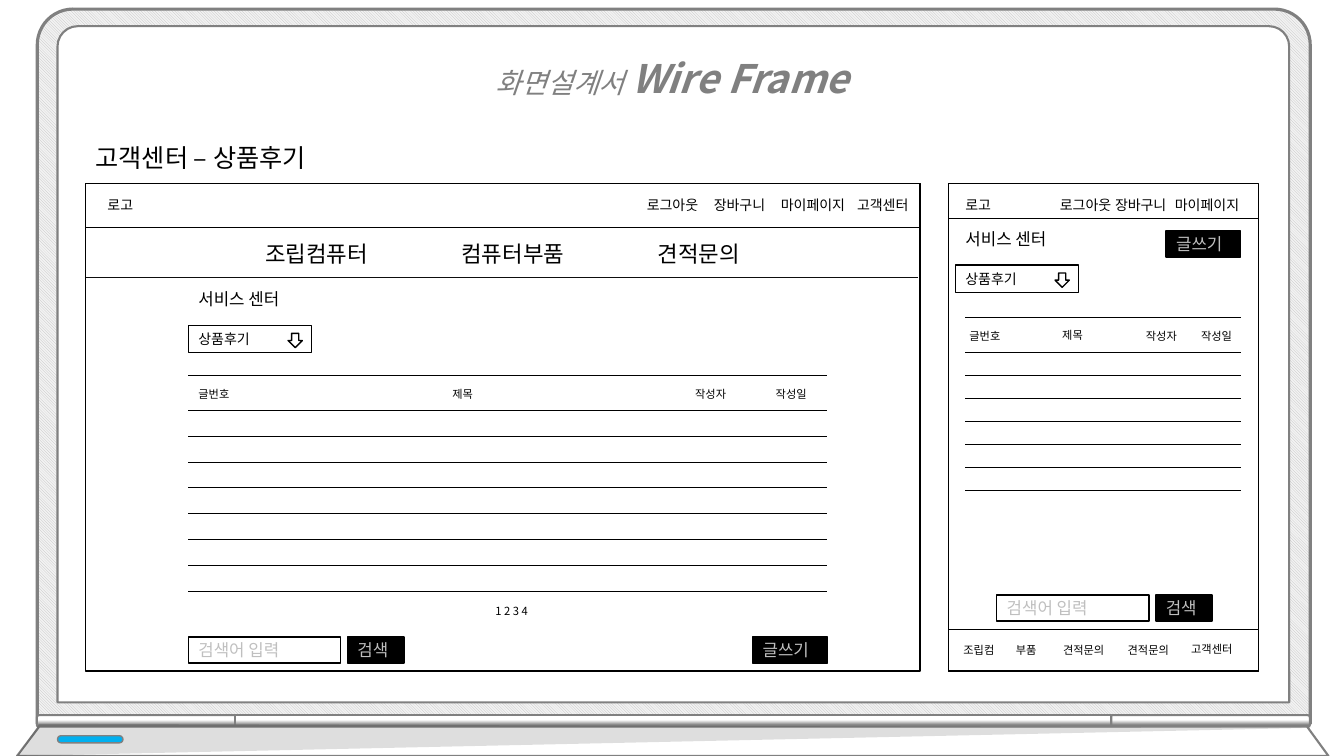
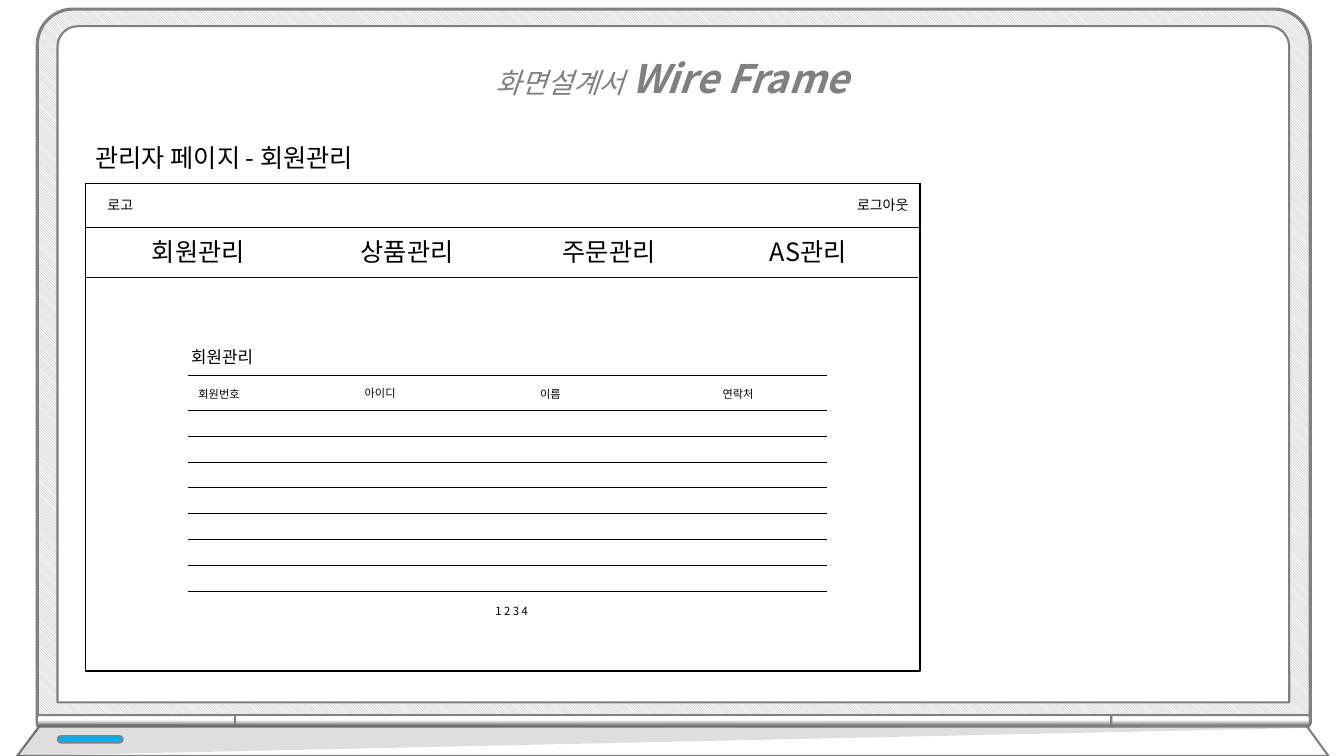
import pptx
import pptx.dml.color
import pptx.enum.dml
import pptx.enum.shapes
import pptx.enum.text
import pptx.oxml
import pptx.oxml.ns
import pptx.util
import lxml.etree

Cm = pptx.util.Cm
KIND = pptx.enum.shapes.MSO_SHAPE
ALIGN = pptx.enum.text.PP_ALIGN
FONT = "Noto Sans CJK KR"
COLORS = {
    name: pptx.dml.color.RGBColor.from_string(value)
    for name, value in {
        "black": "000000", "white": "FFFFFF", "grey": "808080", "hint": "BFBFBF",
        "bezel": "F2F2F2", "led": "00B0F0", "menu line": "0D0D0D",
    }.items()
}


def draw(shapes, kind, box, fill="white", line="black", width=1):
    """Add a preset shape; box is left, top, width, height in cm."""
    shape = shapes.add_shape(kind, *[Cm(v) for v in box])
    shape.shadow.inherit = False
    shape.fill.solid()
    shape.fill.fore_color.rgb = COLORS[fill]
    shape.line.color.rgb = COLORS[line]
    shape.line.width = pptx.util.Pt(width)
    return shape


def write(shape, runs, color="black", align=ALIGN.LEFT, tabs=()):
    """Fill a shape with one paragraph; runs are (text, size, bold, italic)."""
    frame = shape.text_frame
    frame.word_wrap = True
    paragraph = frame.paragraphs[0]
    paragraph.alignment = align
    if tabs:
        tab_list = lxml.etree.SubElement(
            paragraph._p.get_or_add_pPr(), pptx.oxml.ns.qn("a:tabLst"))
        for position in tabs:
            lxml.etree.SubElement(tab_list, pptx.oxml.ns.qn("a:tab"),
                                  pos=str(Cm(position)), algn="l")
    for text, size, bold, italic in runs:
        run = paragraph.add_run()
        run.text = text
        run.font.size = pptx.util.Pt(size)
        run.font.bold = bold
        run.font.italic = italic
        run.font.color.rgb = COLORS[color]
        run.font.name = FONT
        lxml.etree.SubElement(run.font._element, pptx.oxml.ns.qn("a:ea"), typeface=FONT)
    return paragraph


# Labels are (text, size, left, top, width, height, tab stops)
PAGES = [
    {
        "heading": "고객센터 – 상품후기",
        "labels": [
            ("로그아웃\t장바구니\t마이페이지\t고객센터", 10, 16.05, 4.83, 7.4, 0.69,
             (1.69, 3.38, 5.3)),
            ("조립컴퓨터\t컴퓨터부품\t견적문의", 16, 6.43, 5.92, 14, 0.94, (4.95, 9.9)),
            ("서비스 센터", 12, 4.75, 7.16, 3.1, 0.76, ()),
            ("글번호", 8, 4.75, 9.63, 1.52, 0.61, ()),
            ("제목", 8, 11.15, 9.63, 1.52, 0.61, ()),
            ("작성자", 8, 17.27, 9.63, 1.52, 0.61, ()),
            ("작성일", 8, 19.3, 9.63, 1.52, 0.61, ()),
        ],
        "mobile": [
            ("로고", 10, 24.08, 4.83, 1.32, 0.69, ()),
            ("로그아웃\t장바구니\t마이페이지", 10, 26.46, 4.83, 5.25, 0.69, (1.39, 2.9)),
            ("서비스 센터", 12, 24.08, 5.64, 3.1, 0.76, ()),
            ("글번호", 8, 24.18, 8.18, 1.52, 0.61, ()),
            ("제목", 8, 26.52, 8.15, 1.52, 0.61, ()),
            ("작성자", 8, 28.63, 8.18, 1.52, 0.61, ()),
            ("작성일", 8, 30.02, 8.18, 1.52, 0.61, ()),
            ("조립컴", 8, 24.03, 16.08, 1.45, 0.61, ()),
            ("부품", 8, 25.35, 16.08, 1.45, 0.61, ()),
            ("견적문의", 8, 26.54, 16.08, 1.68, 0.61, ()),
            ("견적문의", 8, 28.17, 16.08, 1.68, 0.61, ()),
            ("고객센터", 8, 29.77, 16.05, 2.18, 0.61, ()),
        ],
    },
    {
        "heading": "관리자 페이지 - 회원관리",
        "labels": [
            ("로그아웃", 10, 21.35, 4.83, 2.1, 0.69, ()),
            ("회원관리\t상품관리\t주문관리\tAS관리", 18, 3.58, 5.84, 19.5, 1.02,
             (5.26, 10.35, 15.57)),
            ("회원관리", 12, 4.57, 8.61, 3.1, 0.76, ()),
            ("회원번호", 8, 4.75, 9.63, 1.78, 0.61, ()),
            ("아이디", 8, 8.94, 9.6, 1.52, 0.61, ()),
            ("이름", 8, 13.36, 9.63, 1.52, 0.61, ()),
            ("연락처", 8, 17.96, 9.63, 1.52, 0.61, ()),
        ],
        "mobile": [],
    },
]

prs = pptx.Presentation()
prs.slide_width, prs.slide_height = Cm(33.87), Cm(19.05)

for page in PAGES:
    slide = prs.slides.add_slide(prs.slide_layouts[6])

    # Laptop lid and screen
    laptop = slide.shapes.add_group_shape().shapes
    lid = draw(laptop, KIND.ROUND_2_SAME_RECTANGLE, (0.94, 0.23, 32.08, 18.01),
               line="grey", width=2.25)
    lid.adjustments[0] = 0.05
    lid.fill.patterned()
    lid.fill.pattern = pptx.enum.dml.MSO_PATTERN.LIGHT_DOWNWARD_DIAGONAL
    lid.fill.fore_color.rgb = COLORS["hint"]
    lid.fill.back_color.rgb = COLORS["bezel"]
    screen = draw(laptop, KIND.ROUND_2_SAME_RECTANGLE, (1.45, 0.66, 31.04, 17.04),
                  line="grey", width=1.5)
    screen.adjustments[0] = 0.03

    # Hinge: three bars end to end, each turned on its side
    hinge_left = 0.93
    for length, left_round, right_round in ((5, 0.19, 0), (22.08, 0, 0), (5, 0, 0.19)):
        hinge = draw(laptop, KIND.ROUND_2_SAME_RECTANGLE,
                     (hinge_left + length / 2 - 0.15, 18.17 - length / 2, 0.3, length),
                     line="grey", width=1.5)
        hinge.rotation = 270
        hinge.adjustments[0] = left_round
        hinge.adjustments[1] = right_round
        hinge.fill.gradient()
        hinge.fill.gradient_angle = 0
        for stop, position, color in zip(hinge.fill.gradient_stops,
                                         (0.17, 0.59), ("grey", "white")):
            stop.position = position
            stop.color.rgb = COLORS[color]
        hinge_left += length

    # Laptop base with its shade and light
    for color, corners in (
        ("white", ((0.99, 18.31), (32.94, 18.31), (33.48, 19.05), (0.43, 19.05))),
        ("black", ((0.99, 18.24), (0.43, 19.05), (33.07, 18.34))),
    ):
        points = [(Cm(x), Cm(y)) for x, y in corners]
        outline = laptop.build_freeform(*points[0])
        outline.add_line_segments(points[1:], close=True)
        base = outline.convert_to_shape()
        base.shadow.inherit = False
        base.fill.solid()
        base.fill.fore_color.rgb = COLORS[color]
        if color == "black":
            base.line.fill.background()
            shade = base.fill._xPr.find(".//" + pptx.oxml.ns.qn("a:srgbClr"))
            lxml.etree.SubElement(shade, pptx.oxml.ns.qn("a:alpha"), val="13000")
        else:
            base.line.color.rgb = COLORS["grey"]
            base.line.width = pptx.util.Pt(1.5)
    led = draw(laptop, KIND.ROUNDED_RECTANGLE, (1.45, 18.54, 1.65, 0.18), "led", "grey")
    led.adjustments[0] = 0.5

    # Wireframe panels
    panels = [(2.16, 4.62, 21.03, 12.29), (2.16, 4.62, 21.03, 1.12)]
    if page["mobile"]:
        panels += [(23.9, 4.62, 7.82, 12.29), (23.9, 15.86, 7.82, 1.05)]
    for panel in panels:
        draw(slide.shapes, KIND.RECTANGLE, panel)

    # Menu line and list rows: (left, right, y, colour)
    rules = [(2.16, 23.14, 6.99, "menu line"), (4.75, 20.85, 9.47, "black")]
    rules += [(4.75, 20.85, 10.34 + 0.65 * row, "black") for row in range(8)]
    if page["mobile"]:
        rules += [(23.9, 31.7, 5.51, "black"), (24.32, 31.28, 8, "black")]
        rules += [(24.32, 31.28, 8.88 + 0.58 * row, "black") for row in range(7)]
    for left, right, y, color in rules:
        rule = slide.shapes.add_connector(pptx.enum.shapes.MSO_CONNECTOR.STRAIGHT,
                                          Cm(left), Cm(y), Cm(right), Cm(y))
        rule.line.color.rgb = COLORS[color]
        rule.line.width = pptx.util.Pt(0.5)
        lxml.etree.SubElement(rule._element.spPr, pptx.oxml.ns.qn("a:effectLst"))

    # Title and page number line
    title = slide.shapes.add_textbox(Cm(9.32), Cm(0.64), Cm(15.24), Cm(2.06))
    write(title, [("화면설계서 ", 20, False, True), ("Wire Frame", 28, True, True)],
          "grey", ALIGN.CENTER).line_spacing = 1.5
    pager = slide.shapes.add_textbox(Cm(9.63), Cm(15.11), Cm(6.53), Cm(0.61))
    write(pager, [("1 2 3 4", 8, False, False)], align=ALIGN.CENTER)

    # Heading, header links, menu and column names
    shared = [(page["heading"], 18, 2.16, 3.45, 7.9, 1.02, ()),
              ("로고", 10, 2.46, 4.83, 6.12, 0.69, ())]
    for text, size, left, top, width, height, tabs in shared + page["labels"] + page["mobile"]:
        label = slide.shapes.add_textbox(Cm(left), Cm(top), Cm(width), Cm(height))
        write(label, [(text, size, False, False)], tabs=tabs)

    # Controls of the review page, desktop then mobile
    if page["mobile"]:
        for left, top in ((4.75, 8.2), (24.08, 6.68)):
            dropdown = draw(slide.shapes, KIND.RECTANGLE, (left, top, 3.1, 0.69))
            write(dropdown, [("상품후기", 10, False, False)])
            draw(slide.shapes, KIND.DOWN_ARROW, (left + 2.51, top + 0.2, 0.36, 0.36))
        for text, left, top, width, fill in (
            ("검색어 입력", 4.75, 16.05, 3.84, "white"),
            ("검색", 8.76, 16.05, 1.42, "black"),
            ("글쓰기", 18.97, 16.05, 1.88, "black"),
            ("검색어 입력", 25.12, 14.99, 3.84, "white"),
            ("검색", 29.13, 14.99, 1.42, "black"),
            ("글쓰기", 29.39, 5.82, 1.88, "black"),
        ):
            control = draw(slide.shapes, KIND.RECTANGLE, (left, top, width, 0.66), fill)
            write(control, [(text, 12, False, False)], "hint")

prs.save("out.pptx")
